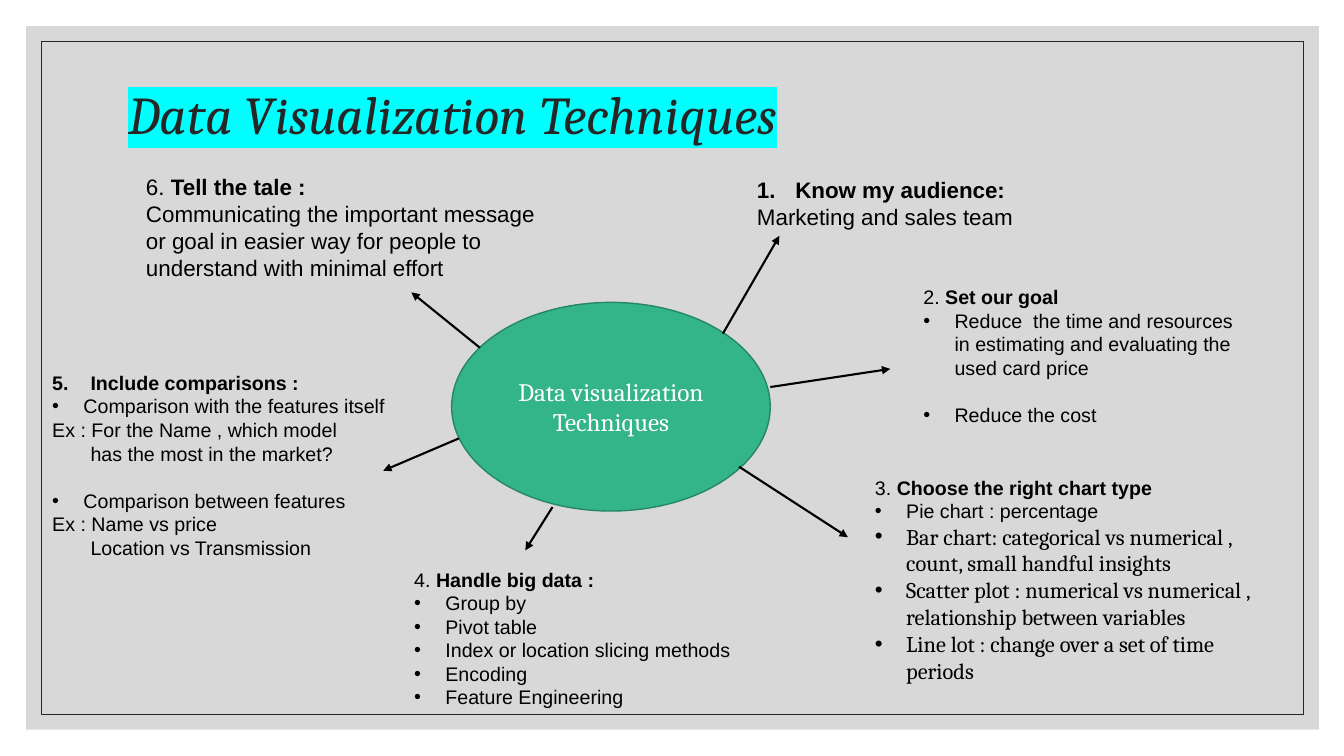
from lxml.etree import SubElement
from pptx import Presentation
from pptx.dml.color import RGBColor
from pptx.enum.shapes import MSO_CONNECTOR, MSO_SHAPE
from pptx.enum.text import MSO_ANCHOR, MSO_AUTO_SIZE, PP_ALIGN
from pptx.oxml.ns import qn
from pptx.util import Inches, Pt

BLACK, DARK, WHITE = "000000", "262626", "FFFFFF"

# Topics: box, text size, paragraphs of (style, text), where a style is
# head, number, bullet, gap (bullet after a skipped line), serif, plain or inset
TOPICS = [
    ((7.41, 1.7, 3, 0.64), 16, [
        ("number", "1.", "Know my audience:"),
        ("plain", "Marketing and sales team")]),
    ((9.06, 2.78, 3.4, 2.12), 14, [
        ("head", "2. ", "Set our goal"),
        ("bullet", "Reduce  the time and resources in estimating and evaluating the used card price"),
        ("gap", "Reduce the cost")]),
    ((8.58, 4.67, 4.1, 2.46), 14, [
        ("head", "3. ", "Choose the right chart type"),
        ("bullet", "Pie chart : percentage"),
        ("serif", "Bar chart: categorical vs numerical , count, small handful insights"),
        ("serif", "Scatter plot : numerical vs numerical , relationship between variables"),
        ("serif", "Line lot : change over a set of time periods")]),
    ((4.01, 5.58, 4.1, 1.51), 14, [
        ("head", "4. ", "Handle big data :"),
        ("bullet", "Group by"),
        ("bullet", "Pivot table"),
        ("bullet", "Index or location slicing methods"),
        ("bullet", "Encoding"),
        ("bullet", "Feature Engineering")]),
    ((0.42, 3.63, 4.1, 1.99), 14, [
        ("number", "5.", "Include comparisons :"),
        ("bullet", "Comparison with the features itself"),
        ("plain", "Ex : For the Name , which model"),
        ("inset", "has the most in the market?"),
        ("gap", "Comparison between features"),
        ("plain", "Ex : Name vs price"),
        ("inset", "Location vs Transmission")]),
    ((1.35, 1.67, 4.1, 1.18), 16, [
        ("head", "6. ", "Tell the tale :"),
        ("plain", "Communicating the important message or goal in easier way "
                  "for people to understand with minimal effort")]),
]

# Arrows from the hub towards each topic
ARROWS = [
    (7.17, 3.31, 7.73, 2.34), (7.64, 3.84, 8.83, 3.66), (7.33, 4.63, 8.41, 5.33),
    (4.55, 4.35, 3.8, 4.67), (5.48, 5.03, 5.21, 5.46), (4.76, 3.45, 4.08, 2.9),
]


def color(hex_string):
    return RGBColor.from_string(hex_string)


def inches(box):
    return [Inches(value) for value in box]


def set_font(font, name, size, hex_string):
    font.name, font.size = name, Pt(size)
    font.color.rgb = color(hex_string)


def add_plain_shape(slide, kind, box, fill=None, line=None, width=1):
    shape = slide.shapes.add_shape(kind, *inches(box))
    shape.shadow.inherit = False
    if fill:
        shape.fill.solid()
        shape.fill.fore_color.rgb = color(fill)
    else:
        shape.fill.background()
    if line:
        shape.line.color.rgb = color(line)
        shape.line.width = Pt(width)
    else:
        shape.line.fill.background()
    return shape


def add_frame(slide, box):
    """Translucent grey panel with a thin inner border."""
    left, top, width, height = box
    panel = add_plain_shape(slide, MSO_SHAPE.RECTANGLE, box, fill="BFBFBF")
    fill_color = panel.fill._xPr.find(qn("a:solidFill"))[0]
    SubElement(fill_color, qn("a:alpha"), val="60000")
    gap = 0.15
    inner = (left + gap, top + gap, width - 2 * gap, height - 2 * gap)
    add_plain_shape(slide, MSO_SHAPE.RECTANGLE, inner, line=DARK, width=0.5)


def add_title(slide, box, text):
    title = slide.shapes.title
    title.left, title.top, title.width, title.height = inches(box)
    title._element.getparent().append(title._element)  # in front of the frame
    frame = title.text_frame
    frame.auto_size = MSO_AUTO_SIZE.NONE
    frame.vertical_anchor = MSO_ANCHOR.MIDDLE
    paragraph = frame.paragraphs[0]
    paragraph.alignment, paragraph.line_spacing = PP_ALIGN.LEFT, 0.9
    run = paragraph.add_run()
    run.text = text
    set_font(run.font, "Cambria", 38, DARK)
    run.font.italic = True
    highlight = SubElement(run.font._element, qn("a:highlight"))
    SubElement(highlight, qn("a:srgbClr"), val="00FFFF")
    run.font._element.find(qn("a:solidFill")).addnext(highlight)


def add_hub(slide, box, text):
    hub = add_plain_shape(slide, MSO_SHAPE.OVAL, box, fill="33B589", line="268665")
    hub.text_frame.word_wrap = True
    hub.text_frame.vertical_anchor = MSO_ANCHOR.MIDDLE
    paragraph = hub.text_frame.paragraphs[0]
    paragraph.text, paragraph.alignment = text, PP_ALIGN.CENTER
    set_font(paragraph.font, "Cambria", 18, WHITE)


def set_indent(paragraph, left, hanging=True):
    properties = paragraph._p.get_or_add_pPr()
    properties.set("marL", str(Inches(left)))
    properties.set("indent", str(-Inches(left) if hanging else 0))
    return properties


def fill_paragraph(paragraph, size, style, *texts):
    if style == "gap":
        paragraph.space_before = Pt(size * 1.2)
    if style == "number":
        properties = set_indent(paragraph, 0.38)
        SubElement(properties, qn("a:buFont"), typeface="+mj-lt")
        SubElement(properties, qn("a:buAutoNum"), type="arabicPeriod",
                   startAt=texts[0].rstrip("."))
        texts = texts[1:]
    elif style in ("bullet", "gap", "serif"):
        properties = set_indent(paragraph, 0.31)
        SubElement(properties, qn("a:buFont"), typeface="Arial")
        SubElement(properties, qn("a:buChar"), char="•")
    elif style == "inset":
        set_indent(paragraph, 0.38, hanging=False)
    if style == "serif":
        set_font(paragraph.font, "Cambria", 16, BLACK)
    else:
        set_font(paragraph.font, "Arial", size, BLACK)
    for text in texts:
        paragraph.add_run().text = text
    if style in ("head", "number"):
        paragraph.runs[-1].font.bold = True


def add_topic(slide, box, size, lines):
    frame = slide.shapes.add_textbox(*inches(box)).text_frame
    frame.word_wrap = True
    frame.auto_size = MSO_AUTO_SIZE.SHAPE_TO_FIT_TEXT
    for index, line in enumerate(lines):
        paragraph = frame.add_paragraph() if index else frame.paragraphs[0]
        fill_paragraph(paragraph, size, *line)


def add_arrow(slide, ends):
    arrow = slide.shapes.add_connector(MSO_CONNECTOR.STRAIGHT, *inches(ends))
    arrow.line.color.rgb = color(BLACK)
    arrow.line.width = Pt(1.5)
    SubElement(arrow.line._get_or_add_ln(), qn("a:tailEnd"), type="triangle")
    SubElement(arrow._element.spPr, qn("a:effectLst"))


def main():
    presentation = Presentation()
    presentation.slide_width, presentation.slide_height = Inches(13.33), Inches(7.5)
    slide = presentation.slides.add_slide(presentation.slide_layouts[5])
    add_frame(slide, (0.26, 0.26, 12.82, 6.98))
    add_title(slide, (1.17, 0.7, 11, 0.93), "Data Visualization Techniques")
    add_hub(slide, (4.48, 3, 3.16, 2.07), "Data visualization Techniques")
    for box, size, lines in TOPICS:
        add_topic(slide, box, size, lines)
    for ends in ARROWS:
        add_arrow(slide, ends)
    presentation.save("out.pptx")


if __name__ == "__main__":
    main()
